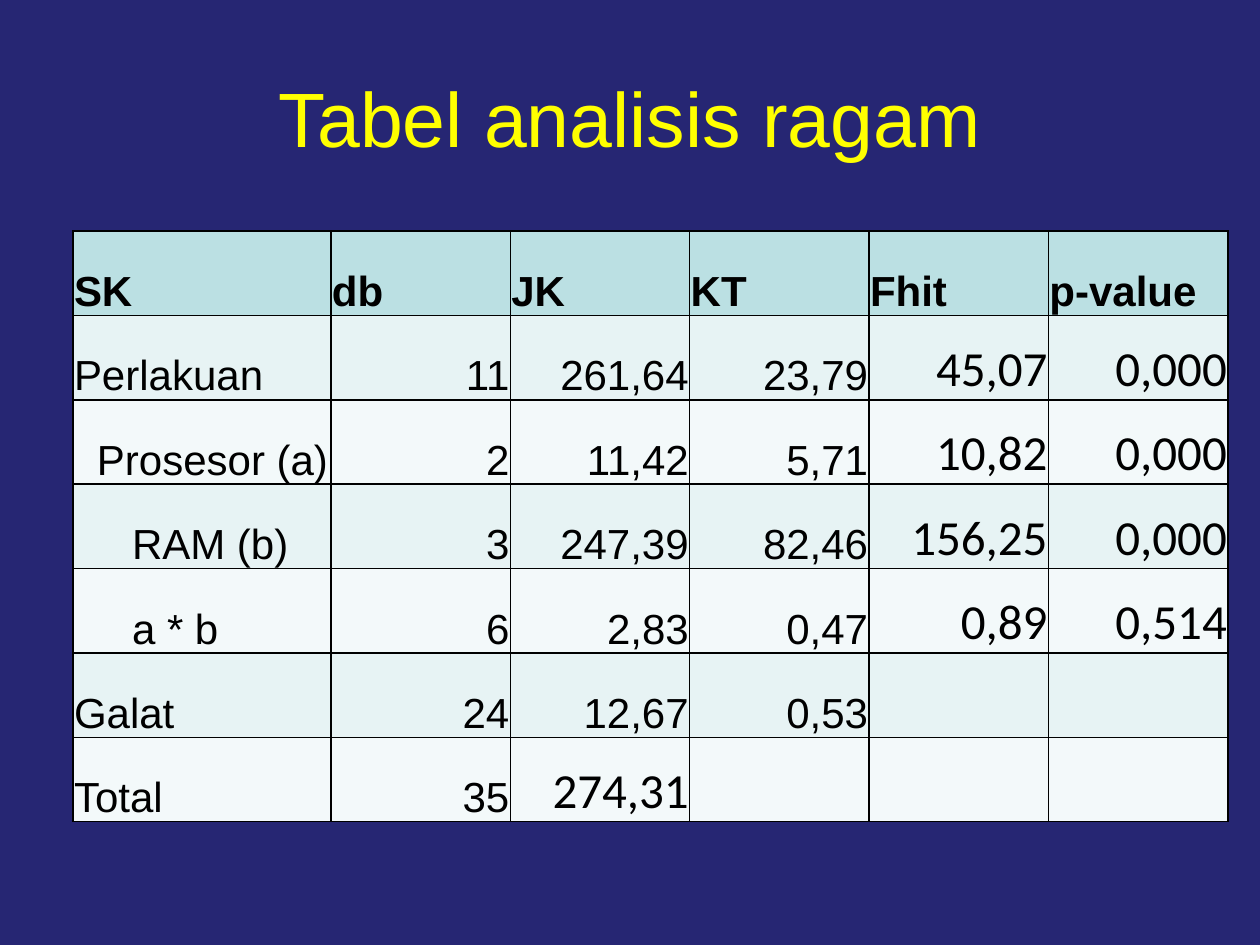
from dataclasses import dataclass

from lxml.etree import SubElement
from pptx import Presentation
from pptx.dml.color import RGBColor as Color
from pptx.enum.text import MSO_ANCHOR as Anchor, PP_ALIGN as Align
from pptx.oxml.ns import qn
from pptx.util import Pt


@dataclass(frozen=True)
class Theme:
    """Colours, fonts and type sizes of the slide."""
    background: str = "262673"
    title: str = "FFFF00"
    text: str = "000000"
    header: str = "BBE0E3"
    bands: tuple = ("E7F3F4", "F3F9FA")
    font: str = "Arial"
    result_font: str = "Calibri"
    title_size: int = 44
    text_size: int = 24
    result_size: int = 28
    border_width: int = 1


def px(pixels):
    """Turn picture pixels into EMU."""
    return round(pixels * 914400 / 126)


def style_text(paragraph, font, size, color, align, bold=False):
    """Format one paragraph."""
    paragraph.alignment = align
    values = {"name": font, "size": Pt(size), "bold": bold}
    for name, value in values.items():
        setattr(paragraph.font, name, value)
    paragraph.font.color.rgb = Color.from_string(color)


theme = Theme()
ROWS = [
    ("SK", "db", "JK", "KT", "Fhit", "p-value"),
    ("Perlakuan", "11", "261,64", "23,79", "45,07", "0,000"),
    ("Prosesor (a)", "2", "11,42", "5,71", "10,82", "0,000"),
    ("RAM (b)", "3", "247,39", "82,46", "156,25", "0,000"),
    ("a * b", "6", "2,83", "0,47", "0,89", "0,514"),
    ("Galat", "24", "12,67", "0,53", "", ""),
    ("Total", "35", "274,31", "", "", ""),
]
INDENTS = {"Prosesor (a)": 23, "RAM (b)": 58, "a * b": 58}
RESULTS_COLUMN = 4
GRAND_TOTAL = "274,31"
TABLE_WIDTH, TABLE_HEIGHT, SOURCE_WIDTH = 1155, 591, 258

presentation = Presentation()
presentation.slide_width, presentation.slide_height = px(1260), px(945)
slide = presentation.slides.add_slide(presentation.slide_layouts[5])
slide.background.fill.solid()
slide.background.fill.fore_color.rgb = Color.from_string(theme.background)

title = slide.shapes.title
title_box = {"left": 63, "top": 38, "width": 1134, "height": 158}
for name, value in title_box.items():
    setattr(title, name, px(value))
title.text_frame.text = "Tabel analisis ragam"
title.text_frame.vertical_anchor = Anchor.MIDDLE
style_text(title.text_frame.paragraphs[0], theme.font, theme.title_size,
           theme.title, Align.CENTER)

table = slide.shapes.add_table(len(ROWS), len(ROWS[0]), px(73), px(231),
                               px(TABLE_WIDTH), px(TABLE_HEIGHT)).table
table.first_row = True
table.horz_banding = False
for index, column in enumerate(table.columns):
    column.width = (px(TABLE_WIDTH - SOURCE_WIDTH) // (len(ROWS[0]) - 1)
                    if index else px(SOURCE_WIDTH))
for row in table.rows:
    row.height = px(TABLE_HEIGHT) // len(ROWS)

for row_index, values in enumerate(ROWS):
    is_header = row_index == 0
    fill = theme.header if is_header else theme.bands[(row_index - 1) % 2]
    for column_index, value in enumerate(values):
        cell = table.cell(row_index, column_index)
        cell_format = {
            "text": value,
            "vertical_anchor": Anchor.BOTTOM,
            "margin_left": px(1 + INDENTS.get(value, 0)),
            "margin_right": px(1),
            "margin_top": px(1),
            "margin_bottom": 0,
        }
        for name, setting in cell_format.items():
            setattr(cell, name, setting)

        is_result = not is_header and (
            column_index >= RESULTS_COLUMN or value == GRAND_TOTAL)
        is_label = is_header or column_index == 0
        style_text(cell.text_frame.paragraphs[0],
                   theme.result_font if is_result else theme.font,
                   theme.result_size if is_result else theme.text_size,
                   theme.text, Align.LEFT if is_label else Align.RIGHT,
                   is_header)

        properties = cell._tc.get_or_add_tcPr()
        for side in ("a:lnL", "a:lnR", "a:lnT", "a:lnB"):
            border = SubElement(properties, qn(side),
                                w=str(Pt(theme.border_width)))
            line_fill = SubElement(border, qn("a:solidFill"))
            SubElement(line_fill, qn("a:srgbClr"), val=theme.text)
        cell.fill.solid()
        cell.fill.fore_color.rgb = Color.from_string(fill)

presentation.save("out.pptx")
